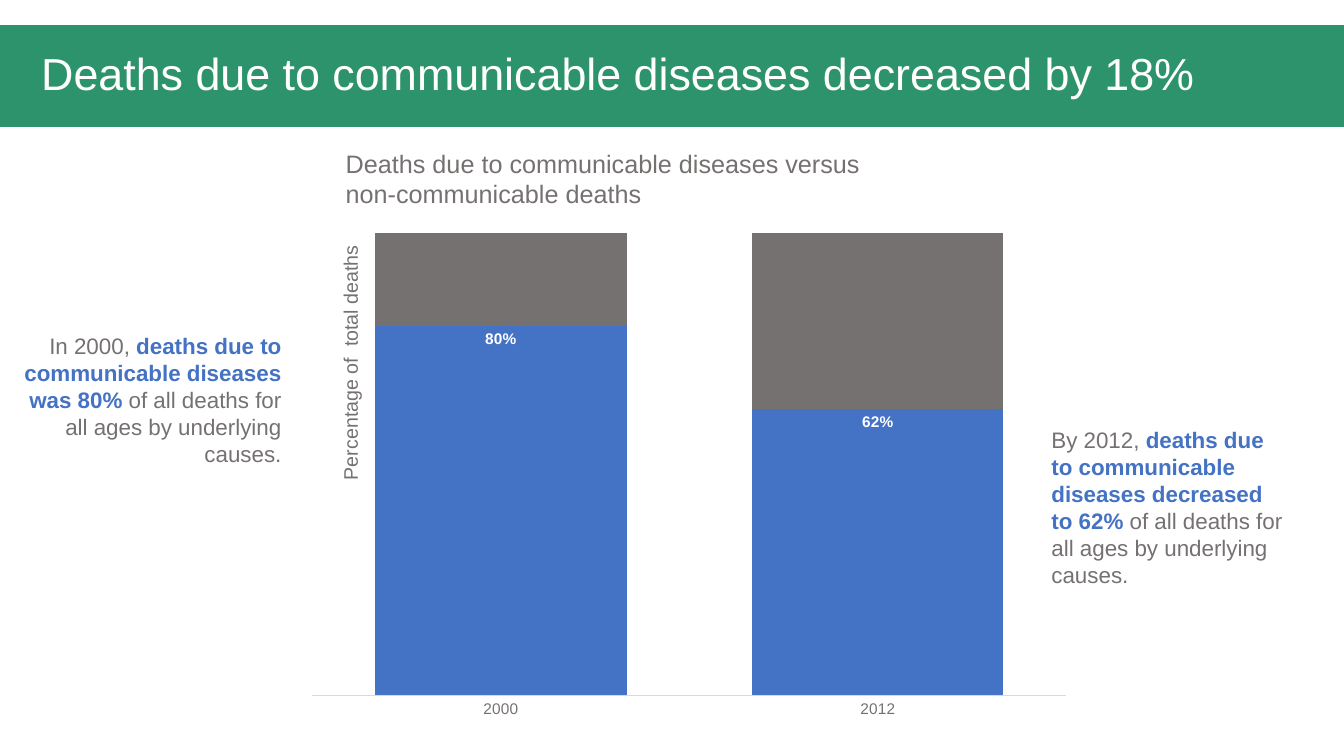
from lxml import etree
from pptx import Presentation
from pptx.chart.data import CategoryChartData
from pptx.dml.color import RGBColor
from pptx.enum import chart as ch, shapes, text
from pptx.oxml.ns import qn
from pptx.util import Inches, Pt

COLORS = {
    "green": "2D936C",
    "white": "FFFFFF",
    "gray": "767171",
    "blue": "4472C4",
    "axis": "D9D9D9",
}


def set_font(font, size, color):
    font.name = "Arial"
    font.size = Pt(size)
    font.color.rgb = RGBColor.from_string(COLORS[color])


def add_text(box, runs, size, color="gray", align=text.PP_ALIGN.LEFT, rotation=0):
    """Add a wrapped text box; every second run is bold blue."""
    shape = slide.shapes.add_textbox(*[Inches(length) for length in box])
    shape.rotation = rotation
    shape.text_frame.word_wrap = True
    paragraph = shape.text_frame.paragraphs[0]
    paragraph.alignment = align
    set_font(paragraph.font, size, color)
    for index, words in enumerate(runs):
        run = paragraph.add_run()
        run.text = words
        if index % 2:
            run.font.bold = True
            run.font.color.rgb = RGBColor.from_string(COLORS["blue"])
    return shape


presentation = Presentation()
presentation.slide_width = Inches(13.33)
presentation.slide_height = Inches(7.5)
slide = presentation.slides.add_slide(presentation.slide_layouts[6])

# Title band
band = slide.shapes.add_shape(
    shapes.MSO_SHAPE.RECTANGLE, 0, Inches(0.25), Inches(13.33), Inches(1.01))
band.shadow.inherit = False
band.fill.solid()
band.fill.fore_color.rgb = RGBColor.from_string(COLORS["green"])
band.line.fill.background()

title = add_text((0.31, 0.45, 12.71, 0.61),
                 ["Deaths due to communicable diseases decreased by 18%"], 32, "white")
title.text_frame.vertical_anchor = text.MSO_ANCHOR.MIDDLE
title.text_frame.paragraphs[0].line_spacing = 0.9

add_text((3.33, 1.42, 5.69, 0.71),
         ["Deaths due to communicable diseases versus non-communicable deaths"], 18)

# Stacked columns
data = CategoryChartData(number_format="0%")
data.categories = ["2000", "2012"]
data.add_series("Communicable", (0.8, 0.62))
data.add_series("Non-communicable", (0.2, 0.38))
chart = slide.shapes.add_chart(
    ch.XL_CHART_TYPE.COLUMN_STACKED_100,
    Inches(2.85), Inches(2.17), Inches(7.75), Inches(5), data).chart
chart.has_title = False
chart.has_legend = False
set_font(chart.font, 11, "gray")

chart.value_axis.visible = False
chart.value_axis.has_major_gridlines = False
chart.value_axis.minimum_scale = 0
chart.value_axis.maximum_scale = 1
chart.category_axis.major_tick_mark = ch.XL_TICK_MARK.NONE
axis_line = chart.category_axis.format.line
axis_line.color.rgb = RGBColor.from_string(COLORS["axis"])
axis_line.width = Pt(0.75)

plot = chart.plots[0]
plot.gap_width = 50
plot.overlap = 100
plot.vary_by_categories = False
for series, color in zip(plot.series, ("blue", "gray")):
    series.format.fill.solid()
    series.format.fill.fore_color.rgb = RGBColor.from_string(COLORS[color])

labels = plot.series[0].data_labels
labels.show_value = True
labels.position = ch.XL_LABEL_POSITION.INSIDE_END
labels.number_format = "0%"
labels.number_format_is_linked = False
set_font(labels.font, 11, "white")
labels.font.bold = True

# Fixed inner plot area
plot_area = chart._chartSpace.find(".//" + qn("c:plotArea"))
for layout in plot_area.findall(qn("c:layout")):
    plot_area.remove(layout)
layout = etree.Element(qn("c:layout"))
plot_area.insert(0, layout)
manual = etree.SubElement(layout, qn("c:manualLayout"))
for tag, value in (("layoutTarget", "inner"), ("xMode", "edge"), ("yMode", "edge"),
                   ("x", "0.032"), ("y", "0.029"), ("w", "0.965"), ("h", "0.917")):
    etree.SubElement(manual, qn("c:" + tag)).set("val", value)

# Axis caption and callouts
add_text((2.1, 3.54, 2.75, 0.34), ["Percentage of  total deaths"], 14,
         align=text.PP_ALIGN.RIGHT, rotation=270)
ending = "of all deaths for all ages by underlying causes."
add_text((0.08, 3.25, 2.81, 1.45),
         ["In 2000, ", "deaths due to communicable diseases was 80% ", ending], 16,
         align=text.PP_ALIGN.RIGHT)
add_text((10.33, 4.18, 2.56, 1.72),
         ["By 2012, ", "deaths due to communicable diseases decreased to 62% ", ending], 16)

presentation.save("out.pptx")
